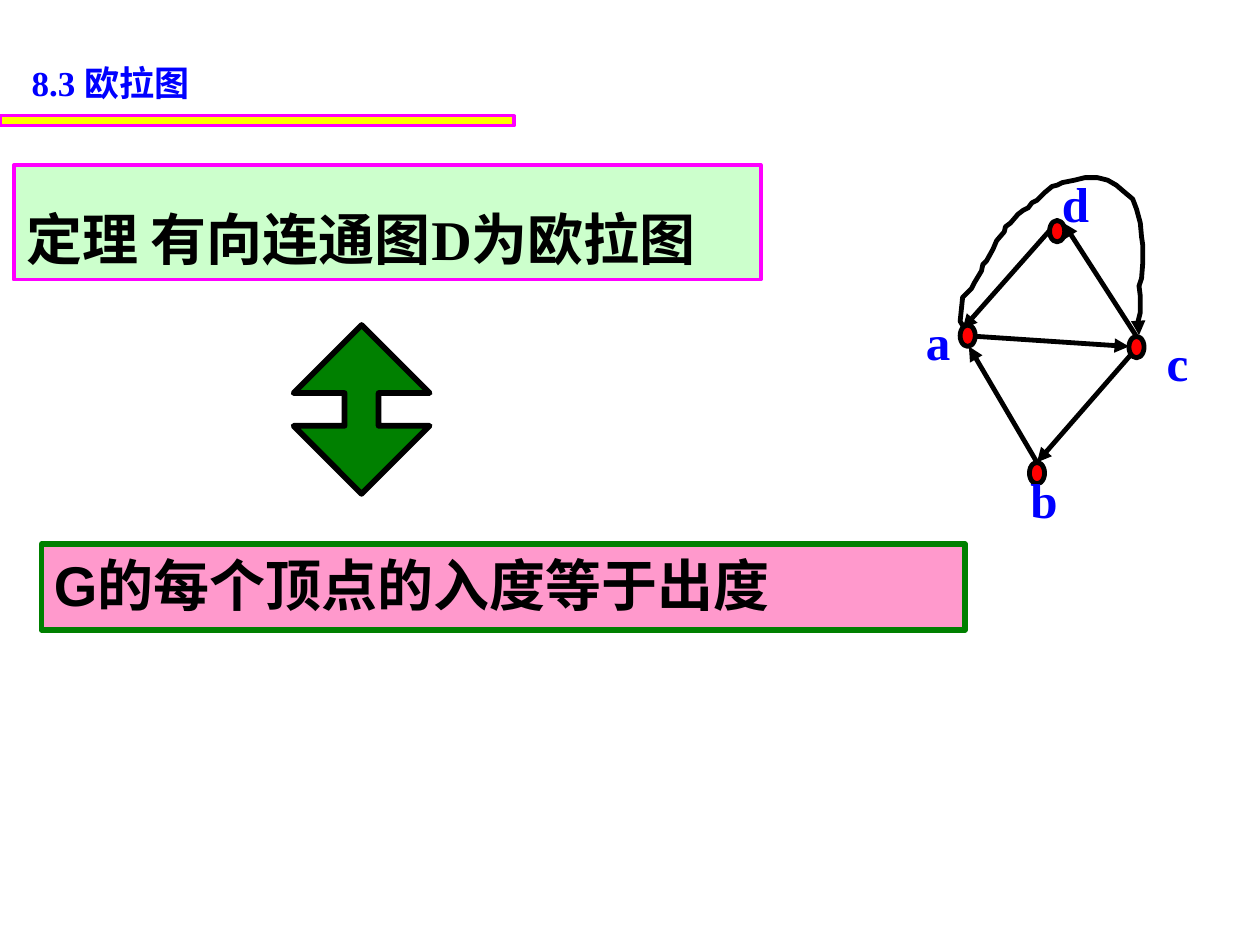
from lxml import etree
from pptx import Presentation
from pptx import util as u
from pptx.dml.color import RGBColor
from pptx.enum import shapes, text
from pptx.oxml import ns

COLORS = {
    "ink": "000000", "blue": "0000FF", "yellow": "FFFF00", "magenta": "FF00FF",
    "mint": "CCFFCC", "green": "008000", "pink": "FF99CC", "red": "FF0000",
}
LATIN, CJK, SANS = "Times New Roman", "Noto Sans CJK SC", "Arial"

VERTICES = {
    "a": ((7.62, 2.58), (7.25, 2.42, 0.4, 0.57)),
    "b": ((8.17, 3.67), (8.08, 3.68, 0.42, 0.57)),
    "c": ((8.96, 2.67), (9.16, 2.59, 0.38, 0.57)),
    "d": ((8.33, 1.75), (8.33, 1.33, 0.42, 0.57)),
}
EDGES = [
    ((7.75, 2.67), (8.96, 2.75)),
    ((8.33, 1.83), (7.64, 2.61)),
    ((8.23, 3.67), (7.69, 2.75)),
    ((9.02, 2.67), (8.44, 1.77)),
    ((8.98, 2.81), (8.23, 3.67)),
]
LOOP = [
    (7.65, 2.6), (7.62, 2.55), (7.64, 2.36), (7.71, 2.29), (7.73, 2.25), (7.79, 2.15),
    (7.8, 2.1), (7.83, 2.07), (7.88, 1.98), (7.91, 1.91), (7.97, 1.84), (7.98, 1.8),
    (8.02, 1.77), (8.08, 1.7), (8.12, 1.67), (8.16, 1.65), (8.19, 1.61), (8.23, 1.59),
    (8.29, 1.53), (8.35, 1.48), (8.39, 1.47), (8.43, 1.45), (8.53, 1.43), (8.61, 1.41),
    (8.71, 1.41), (8.79, 1.43), (8.86, 1.47), (8.93, 1.53), (8.99, 1.58), (9.02, 1.66),
    (9.05, 1.77), (9.06, 1.88), (9.07, 1.95), (9.07, 2.08), (9.06, 2.21), (9.04, 2.27),
    (9.05, 2.35), (9.05, 2.48), (9.03, 2.56), (9.04, 2.66),
]


def rgb(name):
    """Return the named colour."""
    return RGBColor.from_string(COLORS[name])


def inches(values):
    """Convert numbers to lengths."""
    return [u.Inches(value) for value in values]


def outline(part, color, width):
    """Give a part its line colour and width."""
    part.line.color.rgb = rgb(color)
    part.line.width = u.Pt(width)


def add_arrowhead(part):
    """Put a triangle at the end of a line."""
    etree.SubElement(part.line._get_or_add_ln(), ns.qn("a:tailEnd"), type="triangle")


def add_block(slide, kind, box, fill, line, width):
    """Add a filled and outlined preset shape."""
    block = slide.shapes.add_shape(kind, *inches(box))
    block.shadow.inherit = False
    block.fill.solid()
    block.fill.fore_color.rgb = rgb(fill)
    outline(block, line, width)
    return block


def write(part, runs, size, color="ink", wrap=True, spacing=1.0):
    """Write one left-aligned bold line of (words, font) runs."""
    frame = part.text_frame
    frame_format = {
        "auto_size": text.MSO_AUTO_SIZE.NONE, "word_wrap": wrap,
        "vertical_anchor": text.MSO_ANCHOR.TOP,
    }
    for name, value in frame_format.items():
        setattr(frame, name, value)
    line = frame.paragraphs[0]
    line.alignment = text.PP_ALIGN.LEFT
    line.line_spacing = spacing
    for words, face in runs:
        run = line.add_run()
        run.text = words
        for name, value in {"size": u.Pt(size), "bold": True, "name": face}.items():
            setattr(run.font, name, value)
        run.font.color.rgb = rgb(color)
        etree.SubElement(run._r.get_or_add_rPr(), ns.qn("a:ea"), typeface=CJK)


def add_heading(slide, box):
    """Place the section title and the bar below it."""
    heading = slide.shapes.title
    heading.left, heading.top, heading.width, heading.height = inches(box)
    write(heading, [("8.3 欧拉图", LATIN)], 20, "blue")
    bar = (0, box[1] + 0.48, 4.08, 0.08)
    add_block(slide, shapes.MSO_SHAPE.RECTANGLE, bar, "yellow", "magenta", 1.75)


def add_theorem(slide, box):
    """Place the theorem, its equivalence arrow and its condition."""
    left, top, width, height = box
    rectangle = shapes.MSO_SHAPE.RECTANGLE
    theorem = add_block(slide, rectangle, (left, top, 5.93, 0.91), "mint", "magenta", 2)
    words = [("定理 有向连通图", CJK), ("D", LATIN), ("为欧拉图", CJK)]
    write(theorem, words, 32, wrap=False, spacing=1.5)
    equivalence = add_block(slide, shapes.MSO_SHAPE.UP_DOWN_ARROW,
                            (left + 2.22, top + 1.27, 1.08, 1.34), "green", "ink", 3.25)
    equivalence.adjustments[0] = 0.5
    equivalence.adjustments[1] = 0.25
    condition = add_block(slide, rectangle,
                          (left + 0.22, top + height - 0.68, width - 0.22, 0.68),
                          "pink", "green", 3.25)
    write(condition, [("G的每个顶点的入度等于出度", SANS)], 32)


def add_graph(slide, box):
    """Draw the directed graph with its vertices, edges and outer loop."""
    shift_x, shift_y = box[0] - 7.25, box[1] - 1.33

    def place(x, y, *size):
        return (x + shift_x, y + shift_y, *size)

    for spot, _ in VERTICES.values():
        add_block(slide, shapes.MSO_SHAPE.OVAL, place(*spot, 0.12, 0.17), "red", "ink", 2.75)
    for start, end in EDGES:
        edge = slide.shapes.add_connector(shapes.MSO_CONNECTOR.STRAIGHT,
                                          *inches(place(*start) + place(*end)))
        outline(edge, "ink", 2.75)
        add_arrowhead(edge)
        etree.SubElement(edge._element.spPr, ns.qn("a:effectLst"))
    start, *bends = [inches(place(*point)) for point in LOOP]
    builder = slide.shapes.build_freeform(*start)
    builder.add_line_segments(bends, close=False)
    loop = builder.convert_to_shape()
    loop.shadow.inherit = False
    loop.fill.background()
    outline(loop, "ink", 2.75)
    add_arrowhead(loop)
    for name, (_, label_box) in VERTICES.items():
        label = slide.shapes.add_textbox(*inches(place(*label_box)))
        write(label, [(name, LATIN)], 28, "blue", wrap=False)


def main():
    """Build and save the slide."""
    deck = Presentation()
    deck.slide_width, deck.slide_height = inches((10, 7.5))
    slide = deck.slides.add_slide(deck.slide_layouts[5])
    add_heading(slide, (0.15, 0.44, 3.02, 0.43))
    add_theorem(slide, (0.11, 1.31, 7.55, 3.69))
    add_graph(slide, (7.25, 1.33, 2.29, 2.92))
    deck.save("out.pptx")


if __name__ == "__main__":
    main()
